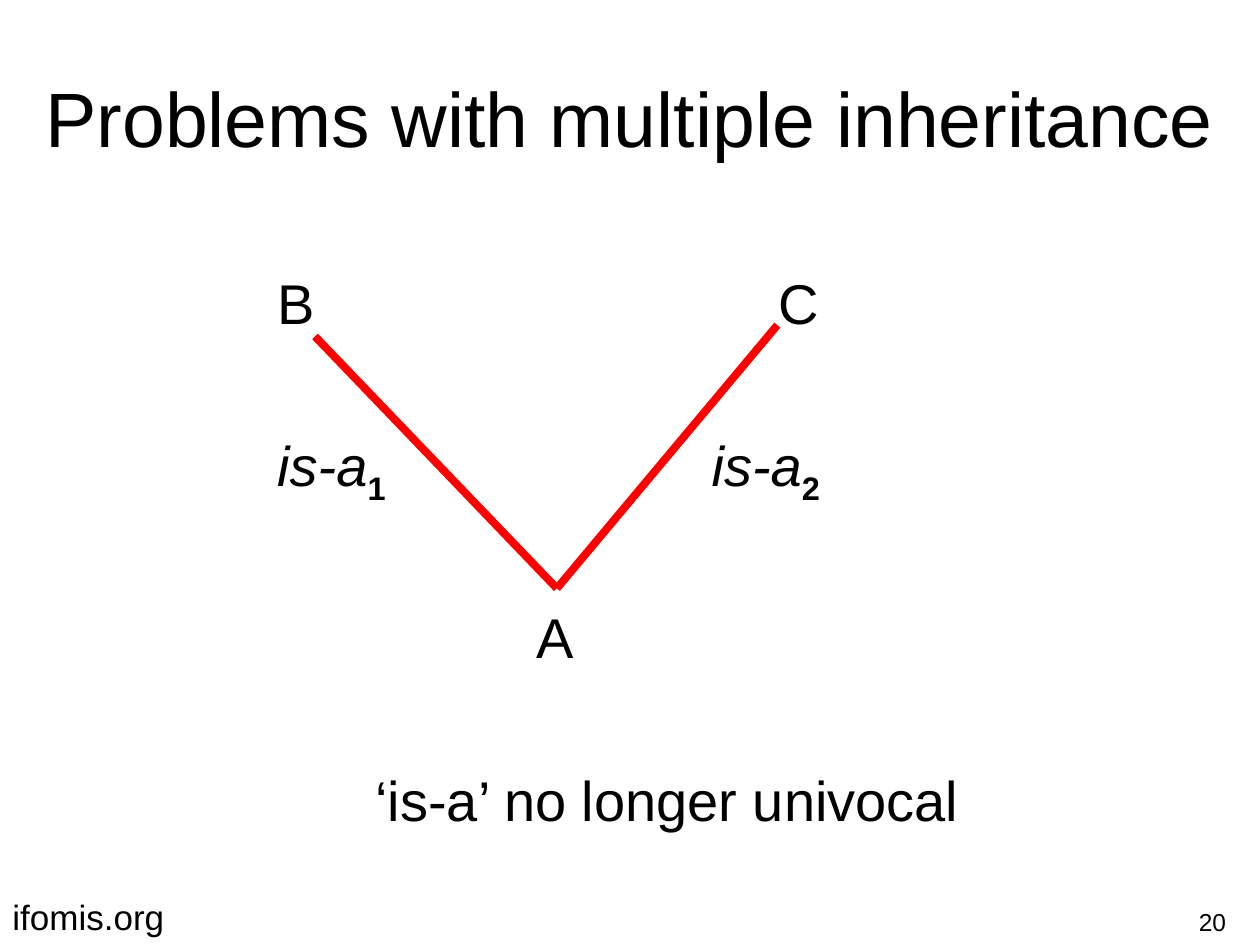
"""Build the slide on problems with multiple inheritance."""
from lxml.etree import SubElement
from pptx import Presentation
from pptx.dml.color import RGBColor
from pptx.enum.text import MSO_ANCHOR, MSO_AUTO_SIZE, PP_ALIGN
from pptx.oxml.ns import qn
from pptx.util import Inches, Pt

COLORS = {"text": "000000", "edge": "FF0000", "back": "FFFFFF"}


def place(shape, left, top, width, height):
    shape.left, shape.top = Inches(left), Inches(top)
    shape.width, shape.height = Inches(width), Inches(height)
    frame = shape.text_frame
    frame.word_wrap = True
    frame.auto_size = MSO_AUTO_SIZE.NONE
    return frame


def write(para, text, size, style=""):
    run = para.add_run()
    run.text = text
    font = run.font
    font.name, font.size = "Arial", Pt(size)
    font.color.rgb = RGBColor.from_string(COLORS["text"])
    if style == "italic":
        font.italic = True
    if style == "sub":
        font.bold = True
        font._element.set("baseline", "-25000")


deck = Presentation()
deck.slide_width, deck.slide_height = Inches(10), Inches(7.5)
slide = deck.slides.add_slide(deck.slide_layouts[1])
slide.background.fill.solid()
slide.background.fill.fore_color.rgb = RGBColor.from_string(COLORS["back"])

frame = place(slide.shapes.title, 0.25, 0.3, 9.5, 1.25)
frame.vertical_anchor = MSO_ANCHOR.MIDDLE
title = frame.paragraphs[0]
title.alignment = PP_ALIGN.CENTER
write(title, "Problems with multiple inheritance", 44)

rows = [
    (1.6, [("B", "")]),
    (1.6, [("is-a", "italic"), ("1", "sub")]),
    (3.66, [("A", "")]),
    (2.38, [("‘is-a’ no longer univocal", "")]),
]
body = place(slide.placeholders[1], 0.5, 2.08, 9, 5.42)
for num, (inset, runs) in enumerate(rows):
    para = body.add_paragraph() if num else body.paragraphs[0]
    props = para._p.get_or_add_pPr()
    props.set("marL", str(Inches(inset)))
    props.set("indent", "0")
    SubElement(props, qn("a:buNone"))
    para.space_before = Pt(54.5 if num else 0)
    for text, style in runs:
        write(para, text, 32, style)

for left, top in [(2.5, 2.67), (6.17, 2.58)]:
    edge = slide.shapes.add_connector(1, Inches(left), Inches(top), Inches(4.42), Inches(4.67))
    edge.line.color.rgb = RGBColor.from_string(COLORS["edge"])
    edge.line.width = Pt(4.5)
    SubElement(edge._element.spPr, qn("a:effectLst"))

labels = [
    ([("C", "")], 32, PP_ALIGN.LEFT, (6.08, 2.08, 1, 0.65)),
    ([("is-a", "italic"), ("2", "sub")], 32, PP_ALIGN.LEFT, (5.55, 3.37, 1.5, 0.65)),
    ([("ifomis.org", "")], 20, PP_ALIGN.LEFT, (0, 7.06, 3.17, 0.52)),
    ([("20", "")], 14, PP_ALIGN.RIGHT, (7.5, 7.15, 2.33, 0.52)),
]
for runs, size, align, spot in labels:
    para = place(slide.shapes.add_textbox(0, 0, 0, 0), *spot).paragraphs[0]
    para.alignment = align
    for text, style in runs:
        write(para, text, size, style)

deck.save("out.pptx")
